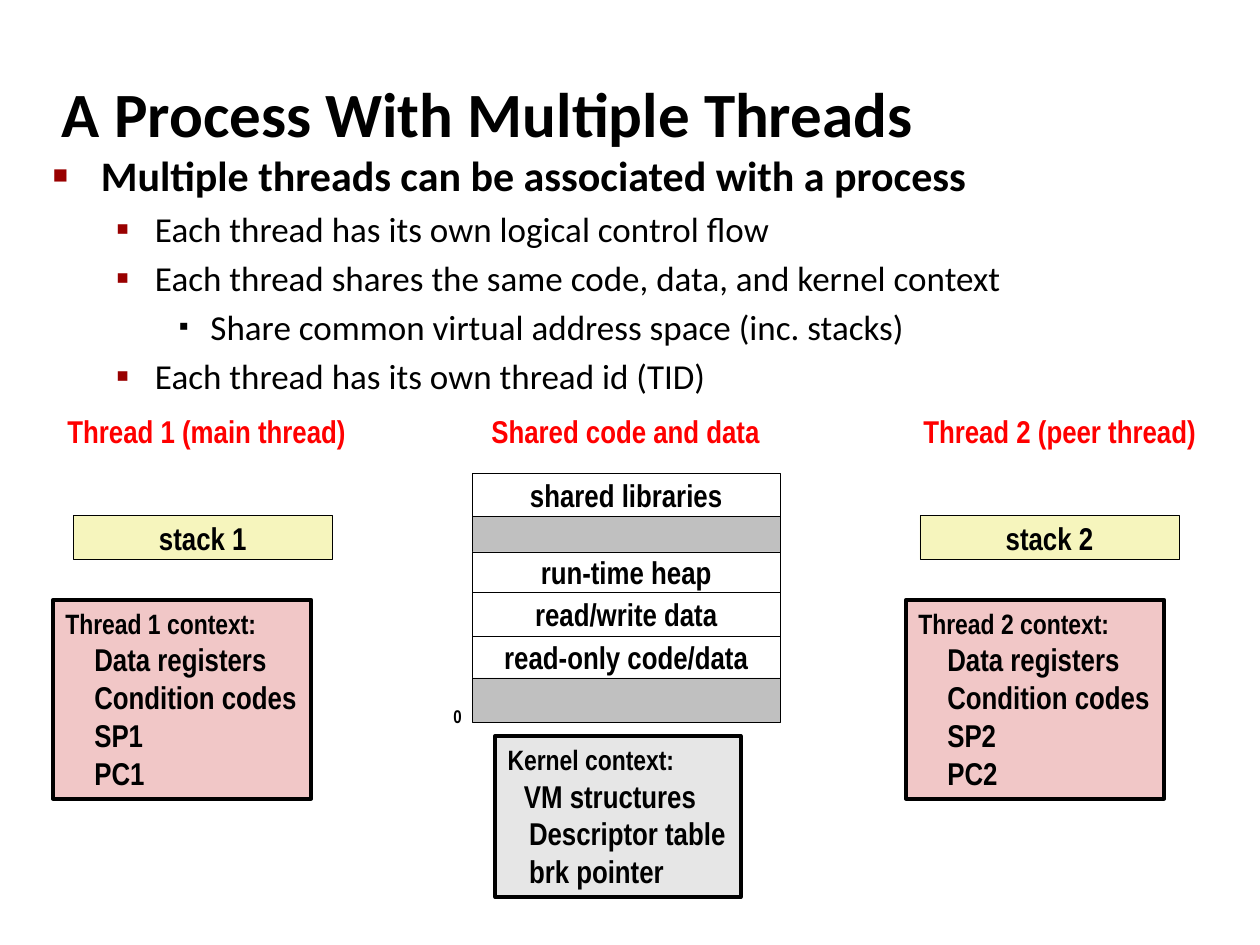
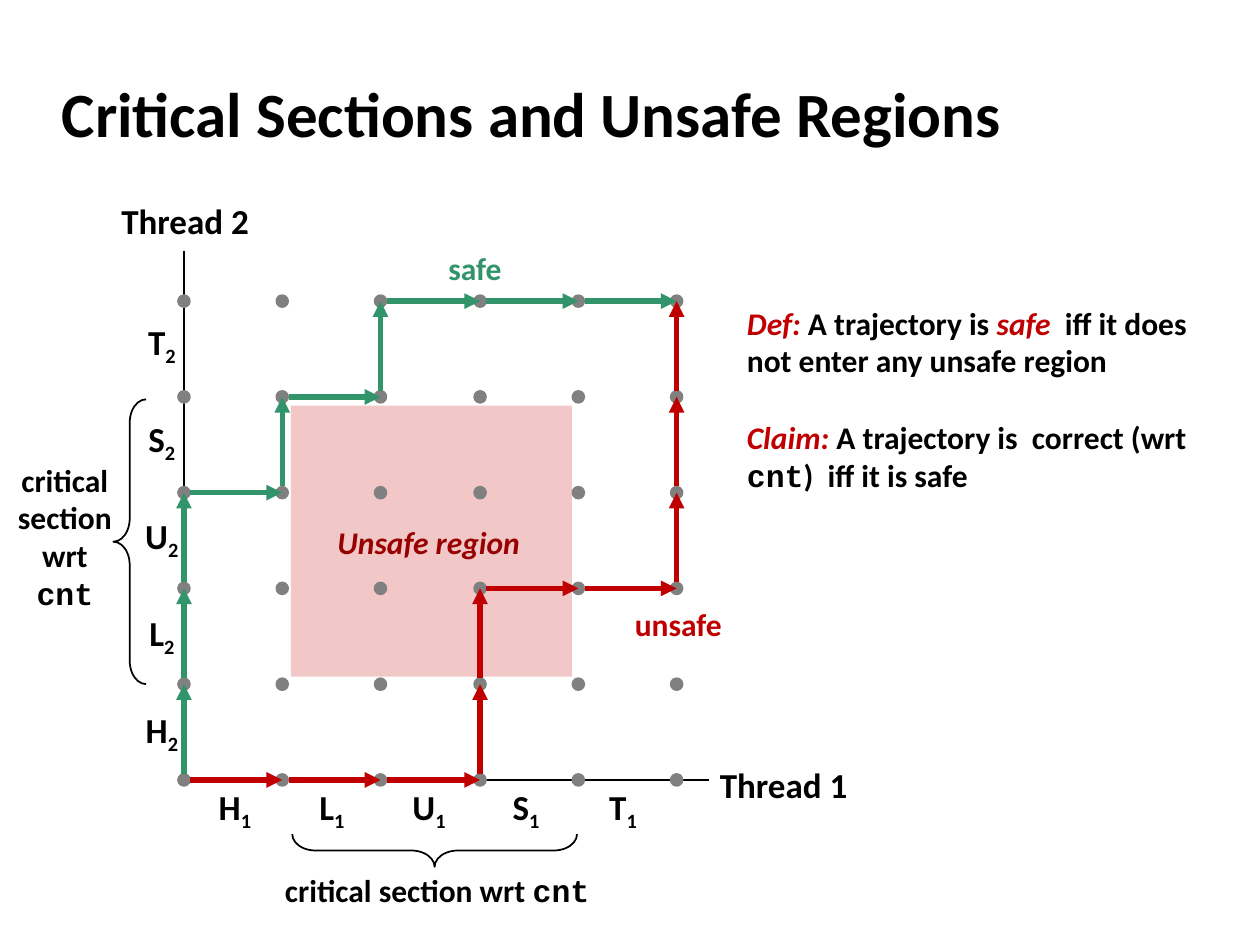
from dataclasses import dataclass
from itertools import pairwise

from lxml.etree import SubElement
from pptx import Presentation
from pptx.dml.color import RGBColor
from pptx.enum.shapes import MSO_CONNECTOR, MSO_SHAPE
from pptx.enum.text import MSO_ANCHOR, MSO_AUTO_SIZE, PP_ALIGN
from pptx.oxml.ns import qn
from pptx.util import Pt

PX = 9144  # 100 px to the inch

BLACK = RGBColor(0x00, 0x00, 0x00)
WHITE = RGBColor(0xFF, 0xFF, 0xFF)
SILVER = RGBColor(0xC0, 0xC0, 0xC0)
PALE_GREY = RGBColor(0xE6, 0xE6, 0xE6)
DOT_GREY = RGBColor(0x80, 0x80, 0x80)
YELLOW = RGBColor(0xF6, 0xF5, 0xBD)
PINK = RGBColor(0xF1, 0xC7, 0xC7)
HEADING_RED = RGBColor(0xFF, 0x00, 0x00)
DARK_RED = RGBColor(0x99, 0x00, 0x00)
UNSAFE_RED = RGBColor(0xC0, 0x00, 0x00)
SAFE_GREEN = RGBColor(0x32, 0x94, 0x6A)

BODY_FONT = "Calibri"
DIAGRAM_FONT = "Arial Narrow"
CODE_FONT = "Courier New"

# Per list level: left margin, hanging indent, bullet, bullet colour, bullet %, size
LEVELS = [
    (38, 38, "■", DARK_RED, 60, 24),
    (81, 31, "▪", DARK_RED, 110, 20),
    (125, 25, "▪", BLACK, 80, 20),
]

GRID_LEFT, GRID_BOTTOM = 146, 619
COLUMN_PITCH, ROW_PITCH = 78.2, 76
GRID_POINTS = 6
ARROW_GAP = 5


@dataclass
class Span:
    text: str
    font: str = BODY_FONT
    colour: RGBColor = BLACK
    size: float = 18
    italic: bool = False
    subscript: bool = False


def emu(*lengths):
    return [length * PX for length in lengths]


def style_run(run, span, bold=True):
    run.font.name = span.font
    run.font.size = Pt(span.size)
    run.font.bold = bold
    run.font.italic = span.italic
    run.font.color.rgb = span.colour
    if span.subscript:
        run.font._element.set("baseline", "-25000")


def write(shape, paragraphs, align=PP_ALIGN.CENTER, anchor=MSO_ANCHOR.MIDDLE, wrap=False):
    """Fill a shape with paragraphs, each a list of spans."""
    frame = shape.text_frame
    frame.word_wrap = wrap
    frame.vertical_anchor = anchor
    for index, spans in enumerate(paragraphs):
        para = frame.add_paragraph() if index else frame.paragraphs[0]
        para.alignment = align
        for span in spans:
            run = para.add_run()
            run.text = span.text
            style_run(run, span)
    return frame


def add_label(page, place, *spans, **layout):
    box = page.shapes.add_textbox(*emu(*place))
    write(box, [spans], **layout)


def add_figure(page, kind, place, fill=None, line=None, width=0.25):
    figure = page.shapes.add_shape(kind, *emu(*place))
    figure.shadow.inherit = False
    if fill is None:
        figure.fill.background()
    else:
        figure.fill.solid()
        figure.fill.fore_color.rgb = fill
    if line is None:
        figure.line.fill.background()
    else:
        figure.line.color.rgb = line
        figure.line.width = Pt(width)
    return figure


def add_cell(page, place, fill, text=""):
    cell = add_figure(page, MSO_SHAPE.RECTANGLE, place, fill, BLACK)
    if text:
        write(cell, [[Span(text, DIAGRAM_FONT)]])


def add_context(page, place, fill, heading, entries, indents):
    """Draw a thick-framed box with a heading over indented entries."""
    box = add_figure(page, MSO_SHAPE.RECTANGLE, place, fill, BLACK, 2)
    lines = [[Span(heading, DIAGRAM_FONT, size=16)]]
    lines += [[Span(entry, DIAGRAM_FONT)] for entry in entries]
    frame = write(box, lines, PP_ALIGN.LEFT)
    for para, indent in zip(frame.paragraphs[1:], indents):
        properties = para._p.get_or_add_pPr()
        properties.set("marL", str(indent * PX))
        properties.set("indent", "0")


def add_line(page, start, end, colour, width, arrow=False):
    line = page.shapes.add_connector(MSO_CONNECTOR.STRAIGHT, *emu(*start, *end))
    line.line.color.rgb = colour
    line.line.width = Pt(width)
    if arrow:
        SubElement(line.line._get_or_add_ln(), qn("a:tailEnd"), type="triangle")
    SubElement(line._element.spPr, qn("a:effectLst"))


def add_brace(page, place, rotation=0):
    brace = add_figure(page, MSO_SHAPE.LEFT_BRACE, place, line=BLACK, width=1)
    brace.adjustments[0] = 0.715
    brace.rotation = rotation


def place_placeholder(holder, place):
    holder.left, holder.top, holder.width, holder.height = emu(*place)
    holder.text_frame.auto_size = MSO_AUTO_SIZE.NONE


def add_page(deck, layout, title):
    page = deck.slides.add_slide(deck.slide_layouts[layout])
    holder = page.shapes.title
    place_placeholder(holder, (39, 48, 830, 83))
    frame = holder.text_frame
    frame.text = title
    frame.vertical_anchor = MSO_ANCHOR.MIDDLE
    frame.paragraphs[0].alignment = PP_ALIGN.LEFT
    style_run(frame.paragraphs[0].runs[0], Span(title, size=36))
    return page


def set_bullet(para, level):
    margin, hanging, character, colour, percent, _ = LEVELS[level]
    properties = para._p.get_or_add_pPr()
    properties.set("marL", str(margin * PX))
    properties.set("indent", str(-hanging * PX))
    bullet_colour = SubElement(properties, qn("a:buClr"))
    SubElement(bullet_colour, qn("a:srgbClr"), val=str(colour))
    SubElement(properties, qn("a:buSzPct"), val=str(percent * 1000))
    SubElement(properties, qn("a:buFont"), typeface="Arial")
    SubElement(properties, qn("a:buChar"), char=character)


def fill_list(holder, items):
    frame = holder.text_frame
    frame.text = "\n".join(text for _, text in items)
    for para, (level, text) in zip(frame.paragraphs, items):
        size = LEVELS[level][-1]
        para.level = level
        set_bullet(para, level)
        para.space_before = Pt(0 if para is frame.paragraphs[0] or level == 0 else size / 5)
        style_run(para.runs[0], Span(text, size=size), bold=level == 0)


def grid_point(column, row):
    return round(GRID_LEFT + column * COLUMN_PITCH), GRID_BOTTOM - row * ROW_PITCH


def add_trajectory(page, steps, colour):
    """Draw arrows from the grid's origin; steps holds R (right) and U (up)."""
    points = [(0, 0)]
    for step in steps:
        column, row = points[-1]
        points.append((column + 1, row) if step == "R" else (column, row + 1))
    for (x1, y1), end in pairwise(grid_point(*point) for point in points):
        start = (x1, y1 - ARROW_GAP) if x1 == end[0] else (x1 + ARROW_GAP, y1)
        add_line(page, start, end, colour, 3, arrow=True)


def build_threads_page(deck):
    page = add_page(deck, 1, "A Process With Multiple Threads")
    body = page.placeholders[1]
    place_placeholder(body, (32, 114, 909, 599))
    fill_list(body, [
        (0, "Multiple threads can be associated with a process"),
        (1, "Each thread has its own logical control flow"),
        (1, "Each thread shares the same code, data, and kernel context"),
        (2, "Share common virtual address space (inc. stacks)"),
        (1, "Each thread has its own thread id (TID)"),
    ])

    for left, width, heading in [
        (19, 290, "Thread 1 (main thread)"),
        (353, 287, "Shared code and data"),
        (699, 284, "Thread 2 (peer thread)"),
    ]:
        add_label(page, (left, 322, width, 40), Span(heading, DIAGRAM_FONT, HEADING_RED))

    top = 376
    for height, region in [
        (34, "shared libraries"), (28, ""), (32, "run-time heap"),
        (35, "read/write data"), (33, "read-only code/data"), (35, ""),
    ]:
        add_cell(page, (375, top, 244, height), WHITE if region else SILVER, region)
        top += height
    add_label(page, (350, 555, 27, 29), Span("0", DIAGRAM_FONT, size=10.5),
              align=PP_ALIGN.LEFT, anchor=MSO_ANCHOR.TOP)

    for number, stack_left, context_left in [(1, 58, 42), (2, 730, 719)]:
        add_cell(page, (stack_left, 409, 206, 35), YELLOW, f"stack {number}")
        entries = ["Data registers", "Condition codes", f"SP{number}", f"PC{number}"]
        add_context(page, (context_left, 476, 205, 158), PINK,
                    f"Thread {number} context:", entries, [23] * 4)
    add_context(page, (393, 584, 195, 128), PALE_GREY, "Kernel context:",
                ["VM structures", "Descriptor table", "brk pointer"], [13, 17, 17])


def build_regions_page(deck):
    page = add_page(deck, 5, "Critical Sections and Unsafe Regions")
    add_figure(page, MSO_SHAPE.RECTANGLE, (231, 322, 223, 215), PINK)

    origin = grid_point(0, 0)
    add_line(page, origin, (563, GRID_BOTTOM), BLACK, 1)
    add_line(page, origin, (GRID_LEFT, 199), BLACK, 1)
    add_label(page, (561, 601, 122, 44), Span("Thread 1", size=20))
    add_label(page, (86, 153, 122, 44), Span("Thread 2", size=20))

    for index, letter in enumerate("HLUST"):
        for thread, place in [
            (1, (163 + 77 * index, 620, 47, 44)),
            (2, (105, 559 - 77 * index, 47, 44)),
        ]:
            add_label(page, place, Span(letter, size=20),
                      Span(str(thread), size=20, subscript=True))

    for column in range(GRID_POINTS):
        for row in range(GRID_POINTS):
            x, y = grid_point(column, row)
            add_figure(page, MSO_SHAPE.OVAL, (x - 4, y - 4, 8, 8), DOT_GREY, DOT_GREY, 2)

    add_brace(page, (90, 317, 26, 226))
    add_brace(page, (332, 562, 26, 226), rotation=270)
    caption = Span("critical section wrt "), Span("cnt", CODE_FONT)
    add_label(page, (215, 686, 264, 40), *caption)
    add_label(page, (0, 360, 103, 131), *caption, wrap=True)

    add_trajectory(page, "RRRUURRUUU", UNSAFE_RED)
    add_trajectory(page, "UUURURURRR", SAFE_GREEN)
    for place, span in [
        ((258, 410, 167, 40), Span("Unsafe region", colour=DARK_RED, italic=True)),
        ((494, 475, 90, 40), Span("unsafe", colour=UNSAFE_RED)),
        ((346, 193, 63, 40), Span("safe", colour=SAFE_GREEN)),
    ]:
        add_label(page, place, span, align=PP_ALIGN.LEFT, anchor=MSO_ANCHOR.TOP)

    note = page.shapes.add_textbox(*emu(583, 241, 383, 152))
    frame = write(note, [
        [Span("Def: ", colour=UNSAFE_RED, italic=True), Span("A trajectory is "),
         Span("safe  ", colour=UNSAFE_RED, italic=True),
         Span("iff it does not enter any unsafe region")],
        [Span("Claim: ", colour=UNSAFE_RED, italic=True),
         Span("A trajectory is  correct (wrt "), Span("cnt", CODE_FONT),
         Span(")  iff it is safe")],
    ], PP_ALIGN.LEFT, MSO_ANCHOR.TOP, wrap=True)
    frame.margin_top = frame.margin_bottom = 0
    frame.paragraphs[1].space_before = Pt(22)


def main():
    deck = Presentation()
    deck.slide_width, deck.slide_height = emu(1000, 750)
    build_threads_page(deck)
    build_regions_page(deck)
    deck.save("out.pptx")


if __name__ == "__main__":
    main()
